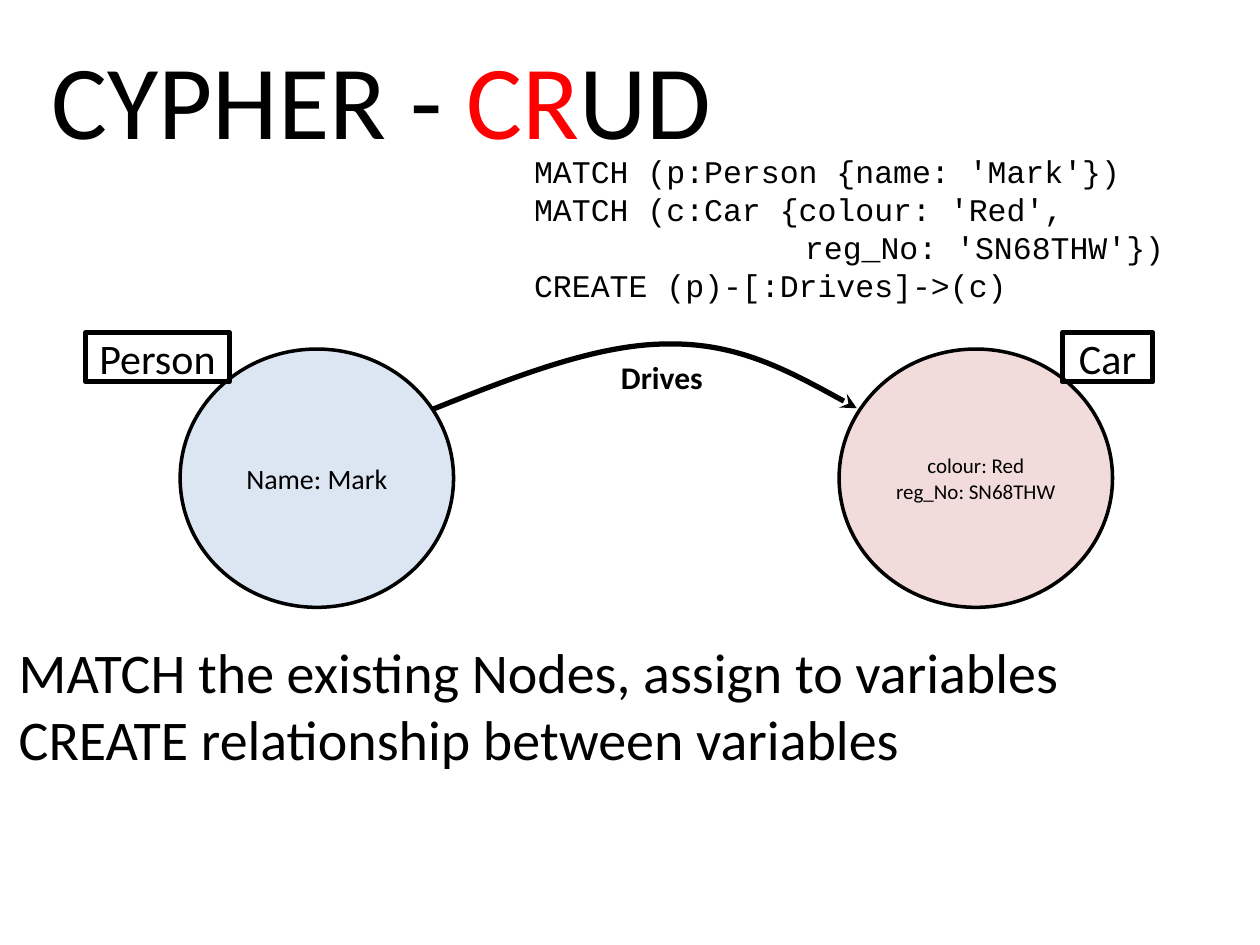
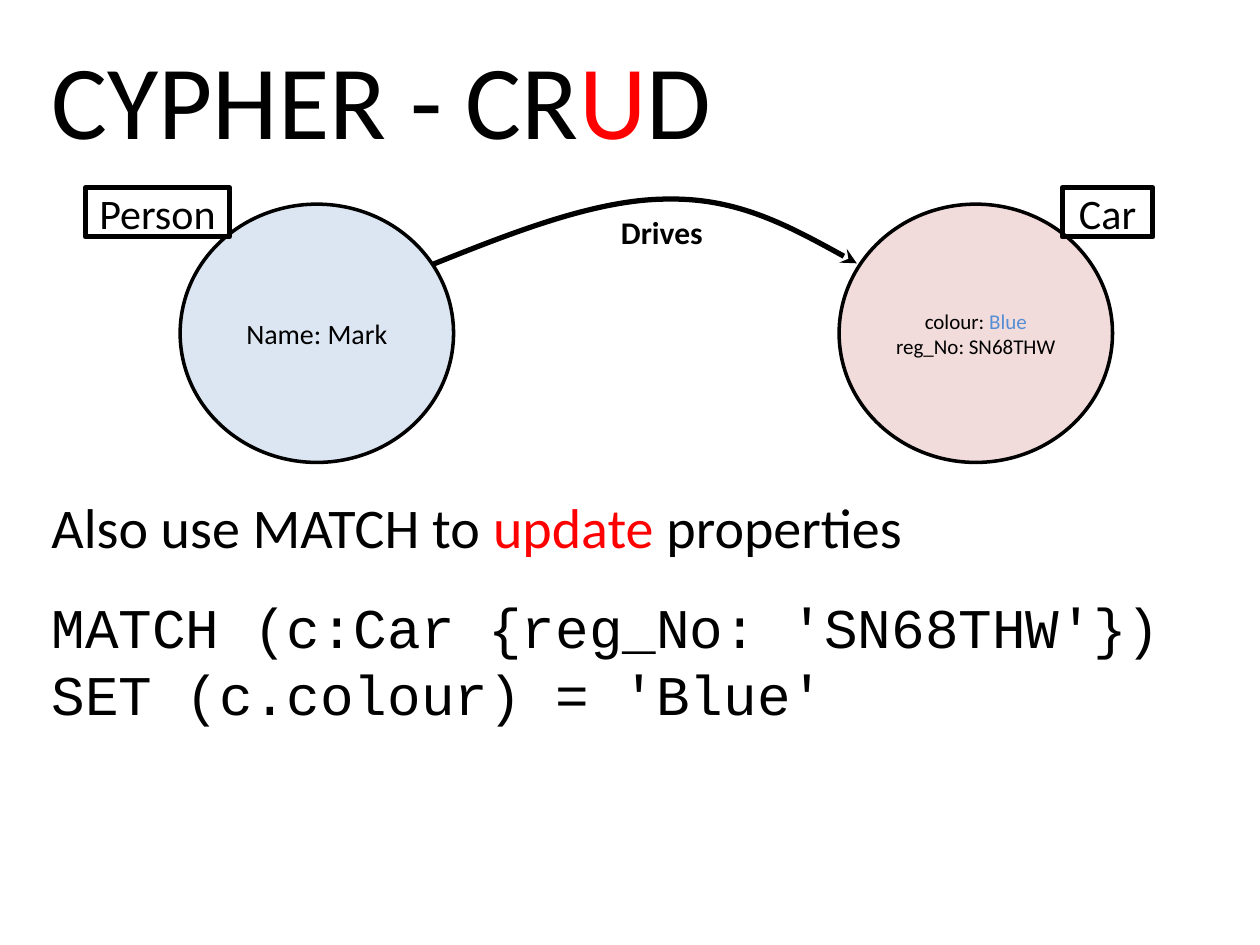
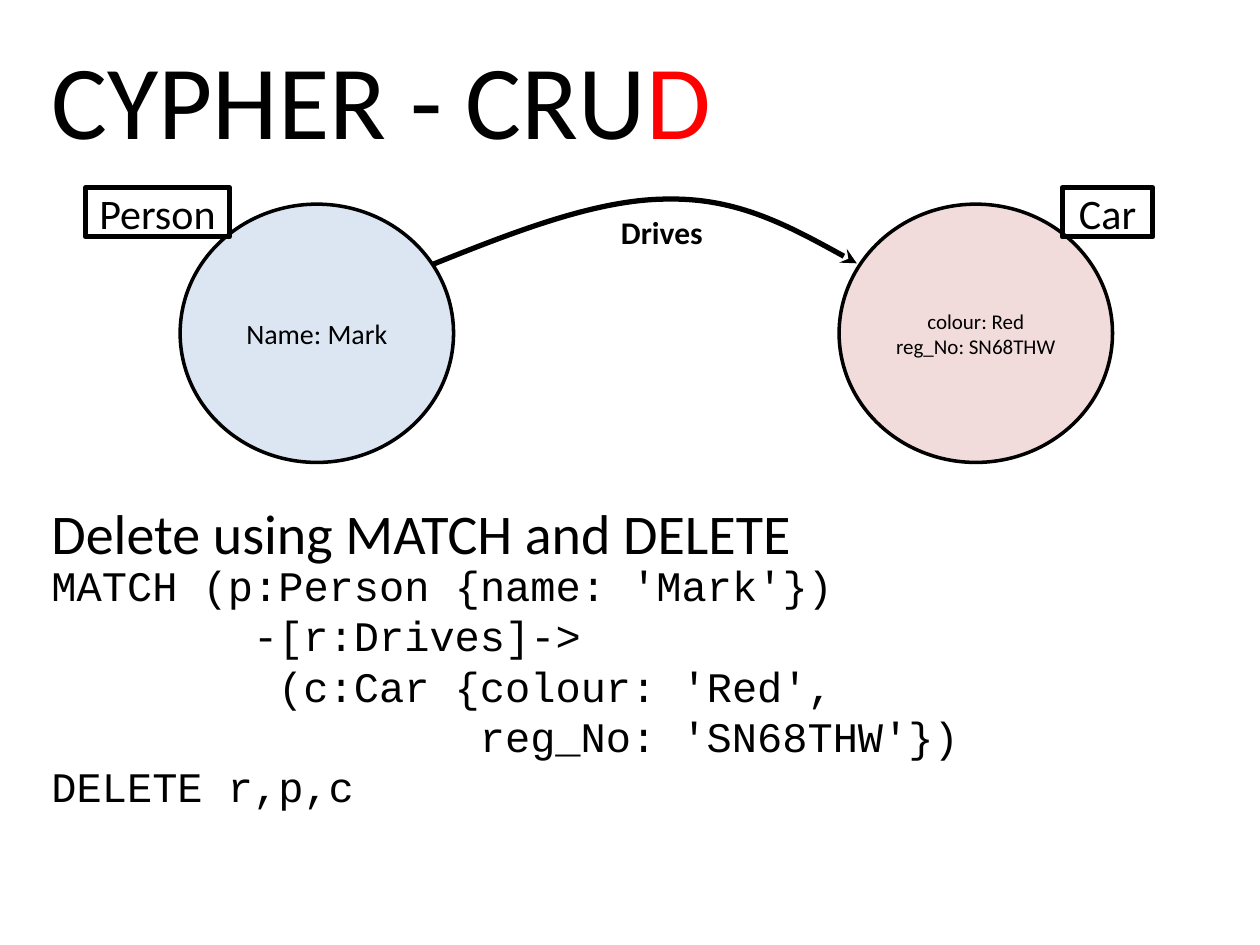
"""Build three slides on reading, updating and deleting graph data with Cypher."""
from dataclasses import dataclass

from lxml.etree import SubElement
from pptx import Presentation
from pptx.dml.color import RGBColor
from pptx.enum.shapes import MSO_SHAPE
from pptx.enum.text import MSO_ANCHOR, MSO_AUTO_SIZE, PP_ALIGN
from pptx.oxml.ns import qn
from pptx.util import Inches, Pt

SLIDE_WIDTH, SLIDE_HEIGHT = Inches(10), Inches(7.5)
COLUMN, ROW = SLIDE_WIDTH / 100, SLIDE_HEIGHT / 75

BLACK = RGBColor(0x00, 0x00, 0x00)
RED = RGBColor(0xFF, 0x00, 0x00)
BLUE = RGBColor(0x55, 0x8E, 0xD5)
PERSON_FILL = RGBColor(0xDC, 0xE6, 0xF2)
CAR_FILL = RGBColor(0xF2, 0xDC, 0xDB)

BODY_FONT, CODE_FONT = "Calibri", "Courier New"
MARGIN = 3.1
NODE_WIDTH, NODE_HEIGHT = 21.7, 20.5
TAG_HEIGHT = 3.9
DRIVES_START = (34.3, 6.1)
DRIVES_CURVES = [
    [(40.8, 3.5), (47.4, 0.9), (53, 0.9)],
    [(58.6, 0.8), (63.3, 3.4), (68, 6)],
]


@dataclass
class Line:
    """One line of text, with an optional highlighted part and indent in columns."""
    text: str
    marked: str = ""
    mark_colour: RGBColor = RED
    indent: float = 0


def place(left, top, width, height):
    """Turn grid columns and rows into a position and size."""
    return (round(left * COLUMN), round(top * ROW),
            round(width * COLUMN), round(height * ROW))


def write(frame, lines, size, font=BODY_FONT, bold=False, align=PP_ALIGN.LEFT):
    """Fill a text frame with lines in one style."""
    for number, line in enumerate(lines):
        paragraph = frame.add_paragraph() if number else frame.paragraphs[0]
        paragraph.alignment = align
        if line.indent:
            properties = paragraph._p.get_or_add_pPr()
            properties.set("marL", str(round(line.indent * COLUMN)))
            properties.set("indent", "0")
        pieces = line.text.partition(line.marked) if line.marked else [line.text]
        for piece in filter(None, pieces):
            run = paragraph.add_run()
            run.text = piece
            run.font.name, run.font.size, run.font.bold = font, Pt(size), bold
            run.font.color.rgb = line.mark_colour if piece == line.marked else BLACK


def add_text(slide, box, lines, size, font=BODY_FONT, bold=False, wrap=True):
    """Add a text box that grows with its text."""
    frame = slide.shapes.add_textbox(*place(*box)).text_frame
    frame.word_wrap = wrap
    frame.auto_size = MSO_AUTO_SIZE.SHAPE_TO_FIT_TEXT
    write(frame, lines, size, font, bold)
    return frame


def add_title(slide, marked):
    """Add the shared title with the current operation in red."""
    frame = add_text(slide, (MARGIN, 2.3, 83.6, 10.9),
                     [Line("CYPHER - CRUD", marked)], 60)
    frame.auto_size = MSO_AUTO_SIZE.NONE
    frame.vertical_anchor = MSO_ANCHOR.MIDDLE


def add_outlined(slide, kind, box, lines, size, weight, fill=None):
    """Add a black-outlined shape with centred text."""
    shape = slide.shapes.add_shape(kind, *place(*box))
    shape.shadow.inherit = False
    if fill is None:
        shape.fill.background()
    else:
        shape.fill.solid()
        shape.fill.fore_color.rgb = fill
    shape.line.color.rgb, shape.line.width = BLACK, Pt(weight)
    shape.text_frame.vertical_anchor = MSO_ANCHOR.MIDDLE
    write(shape.text_frame, lines, size, align=PP_ALIGN.CENTER)


def add_node(slide, left, top, lines, size, fill):
    """Add a graph node."""
    add_outlined(slide, MSO_SHAPE.OVAL, (left, top + 1.3, NODE_WIDTH, NODE_HEIGHT),
                 lines, size, 2, fill)


def add_tag(slide, left, top, width, label):
    """Add the label tag of a node."""
    add_outlined(slide, MSO_SHAPE.RECTANGLE, (left, top, width, TAG_HEIGHT),
                 [Line(label)], 24, 3)


def add_relationship(slide, top):
    """Draw the curved arrow from the person to the car."""
    def on_slide(point):
        return round(point[0] * COLUMN), round((top + point[1]) * ROW)

    builder = slide.shapes.build_freeform(*on_slide(DRIVES_START))
    builder.add_line_segments([on_slide(curve[-1]) for curve in DRIVES_CURVES],
                              close=False)
    arrow = builder.convert_to_shape()
    arrow.shadow.inherit = False
    arrow.fill.background()
    arrow.line.color.rgb, arrow.line.width = BLACK, Pt(3)

    segments = list(arrow.element.iter(qn("a:lnTo")))
    for segment, curve in zip(segments, DRIVES_CURVES):
        outline = segment.getparent()
        bezier = SubElement(outline, qn("a:cubicBezTo"))
        for x, y in map(on_slide, curve):
            SubElement(bezier, qn("a:pt"), x=str(x - arrow.left), y=str(y - arrow.top))
        outline.remove(segment)
    SubElement(arrow.line._get_or_add_ln(), qn("a:tailEnd"), type="stealth")


def add_graph(slide, top, colour_line):
    """Draw the person who drives the car, starting at a given row."""
    add_node(slide, 14.3, top, [Line("Name: Mark")], 16, PERSON_FILL)
    add_tag(slide, 6.8, top, 11.4, "Person")
    add_node(slide, 66.6, top, [colour_line, Line("reg_No: SN68THW")], 12, CAR_FILL)
    add_tag(slide, 84.3, top, 7.2, "Car")
    add_relationship(slide, top)
    add_text(slide, (48.3, top + 1.5, 8.6, 4), [Line("Drives")], 18,
             bold=True, wrap=False)


def add_crud_slide(deck, marked, graph_top, colour_line):
    """Add a slide with the shared title and graph."""
    slide = deck.slides.add_slide(deck.slide_layouts[6])
    add_title(slide, marked)
    add_graph(slide, graph_top, colour_line)
    return slide


def main():
    """Build and save the deck."""
    deck = Presentation()
    deck.slide_width, deck.slide_height = SLIDE_WIDTH, SLIDE_HEIGHT
    red_car = Line("colour: Red")

    create = add_crud_slide(deck, "CR", 26.4, red_car)
    add_text(create, (41.4, 11.6, 53.1, 13.1), [
        Line("MATCH (p:Person {name: 'Mark'})"),
        Line("MATCH (c:Car {colour: 'Red',"),
        Line("reg_No: 'SN68THW'})", indent=21.5),
        Line("CREATE (p)-[:Drives]->(c)"),
    ], 18, CODE_FONT)
    add_text(create, (0.5, 50.1, 100, 11.8), [
        Line("MATCH the existing Nodes, assign to variables"),
        Line("CREATE relationship between variables"),
    ], 32)

    update = add_crud_slide(deck, "U", 14.9, Line("colour: Blue", "Blue", BLUE))
    add_text(update, (MARGIN, 38.6, 91.9, 6.4),
             [Line("Also use MATCH to update properties", "update")], 32)
    add_text(update, (MARGIN, 46.5, 91.9, 11.8), [
        Line("MATCH (c:Car {reg_No: 'SN68THW'})"),
        Line("SET (c.colour) = 'Blue'"),
    ], 32, CODE_FONT)

    delete = add_crud_slide(deck, "D", 14.9, red_car)
    add_text(delete, (MARGIN, 39.1, 91.9, 6.4),
             [Line("Delete using MATCH and DELETE")], 32)
    add_text(delete, (MARGIN, 43.9, 93.8, 21.2), [
        Line("MATCH (p:Person {name: 'Mark'})"),
        Line("-[r:Drives]->", indent=16),
        Line("(c:Car {colour: 'Red',", indent=18),
        Line("reg_No: 'SN68THW'})", indent=34),
        Line("DELETE r,p,c"),
    ], 24, CODE_FONT)

    deck.save("out.pptx")


if __name__ == "__main__":
    main()
